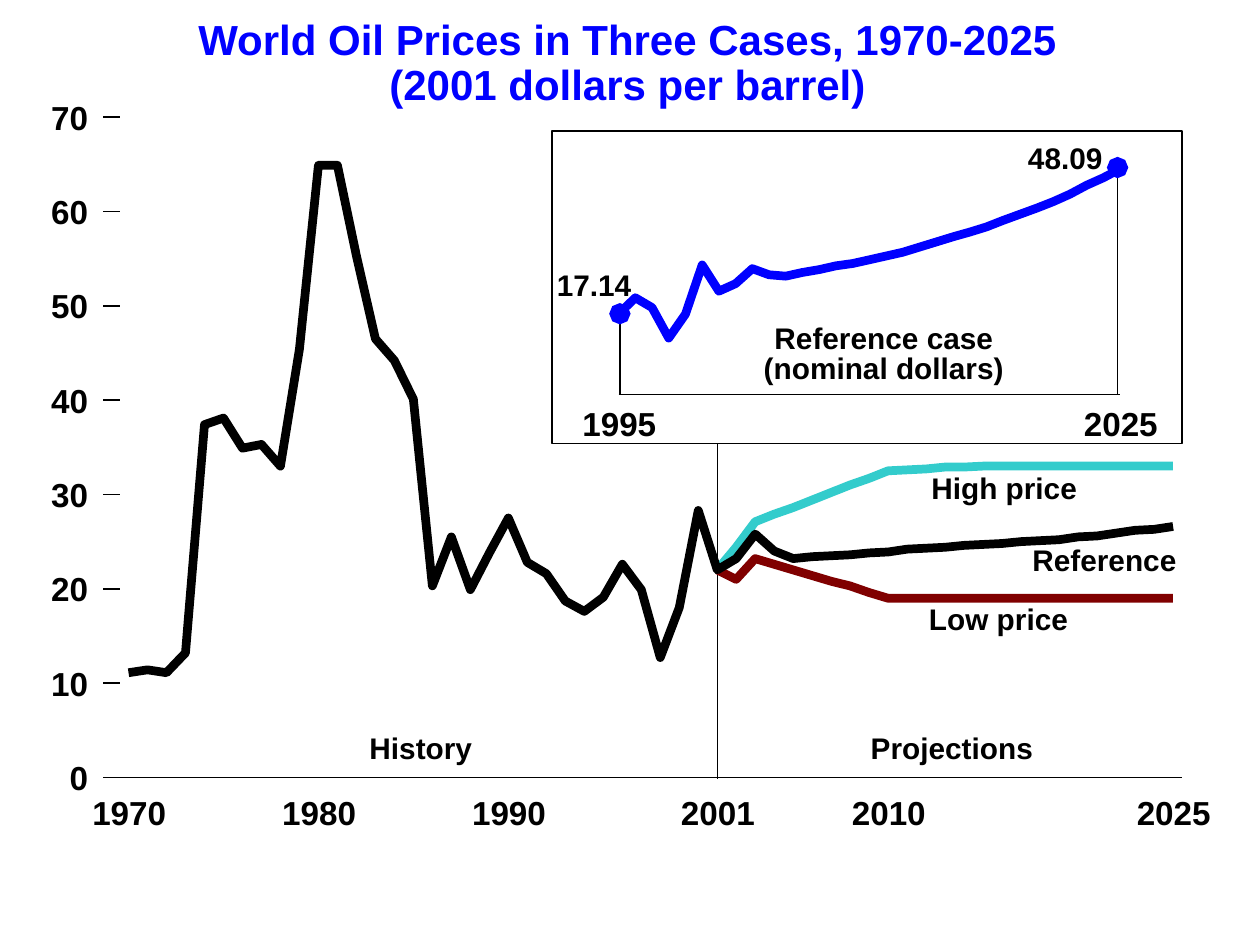
import math
from dataclasses import dataclass

from lxml import etree
from pptx import Presentation, util as u
from pptx.dml.color import RGBColor
from pptx.enum import shapes, text
from pptx.oxml.ns import qn

BLACK = RGBColor(0x00, 0x00, 0x00)
WHITE = RGBColor(0xFF, 0xFF, 0xFF)
BLUE = RGBColor(0x00, 0x00, 0xFF)
TEAL = RGBColor(0x33, 0xCC, 0xCC)
MAROON = RGBColor(0x80, 0x00, 0x00)

FONT = "Arial"
AXIS_SIZE, LABEL_SIZE = 19, 17
CENTER, RIGHT = text.PP_ALIGN.CENTER, text.PP_ALIGN.RIGHT


@dataclass(frozen=True)
class Axes:
    """Maps a year and a price to a place on the slide, in inches."""
    left: float
    base: float
    first_year: int
    year_step: float
    dollar_step: float

    def x(self, year: int) -> float:
        return self.left + (year - self.first_year) * self.year_step

    def y(self, price: float) -> float:
        return self.base - price * self.dollar_step


@dataclass(frozen=True)
class Series:
    axes: Axes
    first_year: int
    prices: list[float]
    color: RGBColor

    def points(self) -> list[tuple[float, float]]:
        return [(self.axes.x(year), self.axes.y(price))
                for year, price in enumerate(self.prices, self.first_year)]


@dataclass(frozen=True)
class Label:
    words: str
    left: float
    top: float
    width: float
    height: float = 0.28


MAIN = Axes(1.02, 6.17, 1970, 8.29 / 55, 5.24 / 70)
INSET = Axes(4.91, 3.13, 1995, 3.98 / 30, 0.0372)

LOW = Series(MAIN, 2001, [22.0, 21.0, 23.2, 22.6, 22.0, 21.4, 20.8, 20.3, 19.6]
             + [19.0] * 16, MAROON)
HIGH = Series(MAIN, 2001, [22.0, 24.4, 27.1, 27.9, 28.6, 29.4, 30.2, 31.0, 31.7,
                           32.5, 32.6, 32.7, 32.9, 32.9] + [33.0] * 11, TEAL)
REFERENCE = Series(MAIN, 1970, [
    11.1, 11.4, 11.1, 13.2, 37.4, 38.1, 34.9, 35.3, 33.0, 45.4,
    64.9, 64.9, 55.3, 46.5, 44.2, 40.1, 20.3, 25.5, 19.9, 23.8,
    27.5, 22.8, 21.6, 18.7, 17.6, 19.1, 22.6, 19.9, 12.7, 18.0,
    28.3, 22.0, 23.2, 25.8, 24.0, 23.2, 23.4, 23.5, 23.6, 23.8,
    23.9, 24.2, 24.3, 24.4, 24.6, 24.7, 24.8, 25.0, 25.1, 25.2,
    25.5, 25.6, 25.9, 26.2, 26.3, 26.6], BLACK)
NOMINAL = Series(INSET, 1995, [
    17.14, 20.6, 18.5, 12.0, 17.1, 27.6, 22.0, 23.6, 26.8, 25.5,
    25.2, 26.0, 26.6, 27.4, 27.9, 28.7, 29.5, 30.3, 31.4, 32.5,
    33.6, 34.6, 35.7, 37.1, 38.4, 39.7, 41.1, 42.7, 44.6, 46.2, 48.09], BLUE)

MAIN_LABELS = [
    Label("Reference", 8.19, 4.3, 1.15),
    Label("Low price", 7.37, 4.77, 1.11),
    Label("High price", 7.39, 3.73, 1.16),
    Label("History", 2.93, 5.79, 0.82),
    Label("Projections", 6.91, 5.79, 1.29),
]
INSET_LABELS = [
    Label("48.09", 8.16, 1.11, 0.59),
    Label("17.14", 4.42, 2.12, 0.59),
]


def inch(value: float) -> u.Length:
    return u.Cm(value * 2.54)


def write(sp, words: str, *, size: int, color: RGBColor = BLACK,
          align=CENTER, spacing: float = 1.0) -> None:
    tf = sp.text_frame
    tf.margin_left = tf.margin_right = tf.margin_top = tf.margin_bottom = 0
    tf.word_wrap = False
    tf.auto_size = text.MSO_AUTO_SIZE.NONE
    tf.vertical_anchor = text.MSO_ANCHOR.TOP
    for i, line in enumerate(words.split("\n")):
        p = tf.paragraphs[0] if i == 0 else tf.add_paragraph()
        p.alignment = align
        p.line_spacing = spacing
        p.space_before = u.Pt(0)
        r = p.add_run()
        r.text = line
        r.font.name, r.font.size, r.font.bold = FONT, u.Pt(size), True
        r.font.color.rgb = color


def add_label(s, label: Label, **style) -> None:
    sp = s.shapes.add_textbox(inch(label.left), inch(label.top),
                              inch(label.width), inch(label.height))
    write(sp, label.words, **style)


def add_line(s, x1: float, y1: float, x2: float, y2: float, width: float = 1) -> None:
    line = s.shapes.add_connector(shapes.MSO_CONNECTOR.STRAIGHT,
                                  inch(x1), inch(y1), inch(x2), inch(y2))
    line.line.color.rgb = BLACK
    line.line.width = u.Pt(width)
    etree.SubElement(line._element.spPr, qn("a:effectLst"))


def add_outline(s, points: list[tuple[float, float]], close: bool):
    start, *rest = [(inch(x), inch(y)) for x, y in points]
    builder = s.shapes.build_freeform(*start)
    builder.add_line_segments(rest, close=close)
    sp = builder.convert_to_shape()
    sp.shadow.inherit = False
    return sp


def add_series(s, series: Series) -> None:
    sp = add_outline(s, series.points(), close=False)
    sp.fill.background()
    sp.line.color.rgb = series.color
    sp.line.width = u.Pt(5)


def add_marker(s, x: float, y: float, radius: float = 0.085) -> None:
    """Draw an eight-sided dot centred on a data point."""
    angles = [i * math.pi / 4 for i in range(8)]
    sp = add_outline(s, [(x + radius * math.cos(a), y + radius * math.sin(a))
                         for a in angles], close=True)
    sp.fill.solid()
    sp.fill.fore_color.rgb = BLUE
    sp.line.fill.background()


def add_years(s, axes: Axes, years: list[int], top: float) -> None:
    for year in years:
        add_label(s, Label(str(year), axes.x(year) - 0.29, top, 0.59, 0.32),
                  size=AXIS_SIZE)


def add_main_chart(s) -> None:
    add_line(s, MAIN.x(2001), 3.44, MAIN.x(2001), 6.18, width=0.75)
    for series in (LOW, HIGH, REFERENCE):
        add_series(s, series)
    for price in range(0, 71, 10):
        y, width = MAIN.y(price), 0.15 * len(str(price))
        add_line(s, 0.82, y, 0.95, y)
        add_label(s, Label(str(price), 0.7 - width, y - 0.16, width, 0.32),
                  size=AXIS_SIZE, align=RIGHT)
    add_line(s, 0.95, MAIN.base, 9.38, MAIN.base)
    add_years(s, MAIN, [1970, 1980, 1990, 2001, 2010, 2025], 6.29)
    for label in MAIN_LABELS:
        add_label(s, label, size=LABEL_SIZE)


def add_inset(s) -> None:
    frame = s.shapes.add_shape(shapes.MSO_SHAPE.RECTANGLE, inch(4.38), inch(1.04),
                               inch(5), inch(2.48))
    frame.shadow.inherit = False
    frame.fill.solid()
    frame.fill.fore_color.rgb = WHITE
    frame.line.color.rgb = BLACK
    frame.line.width = u.Pt(1)

    add_series(s, NOMINAL)
    add_line(s, INSET.left, INSET.base, INSET.x(2025), INSET.base)
    add_years(s, INSET, [1995, 2025], 3.2)
    add_label(s, Label("Reference case\n(nominal dollars)", 6.06, 2.58, 1.91, 0.48),
              size=LABEL_SIZE, spacing=0.85)
    for label in INSET_LABELS:
        add_label(s, label, size=LABEL_SIZE)
    for x, y in ((4.92, 2.49), (8.87, 1.33)):
        add_line(s, x, INSET.base, x, y + 0.06)
        add_marker(s, x, y)


def main() -> None:
    prs = Presentation()
    prs.slide_width, prs.slide_height = inch(10), inch(7.5)
    s = prs.slides.add_slide(prs.slide_layouts[5])
    title = s.shapes.title
    title.left, title.top = inch(1.57), inch(0.15)
    title.width, title.height = inch(6.82), inch(0.72)
    write(title, "World Oil Prices in Three Cases, 1970-2025\n(2001 dollars per barrel)",
          size=24, color=BLUE, spacing=0.9)
    add_main_chart(s)
    add_inset(s)
    prs.save("out.pptx")


if __name__ == "__main__":
    main()
